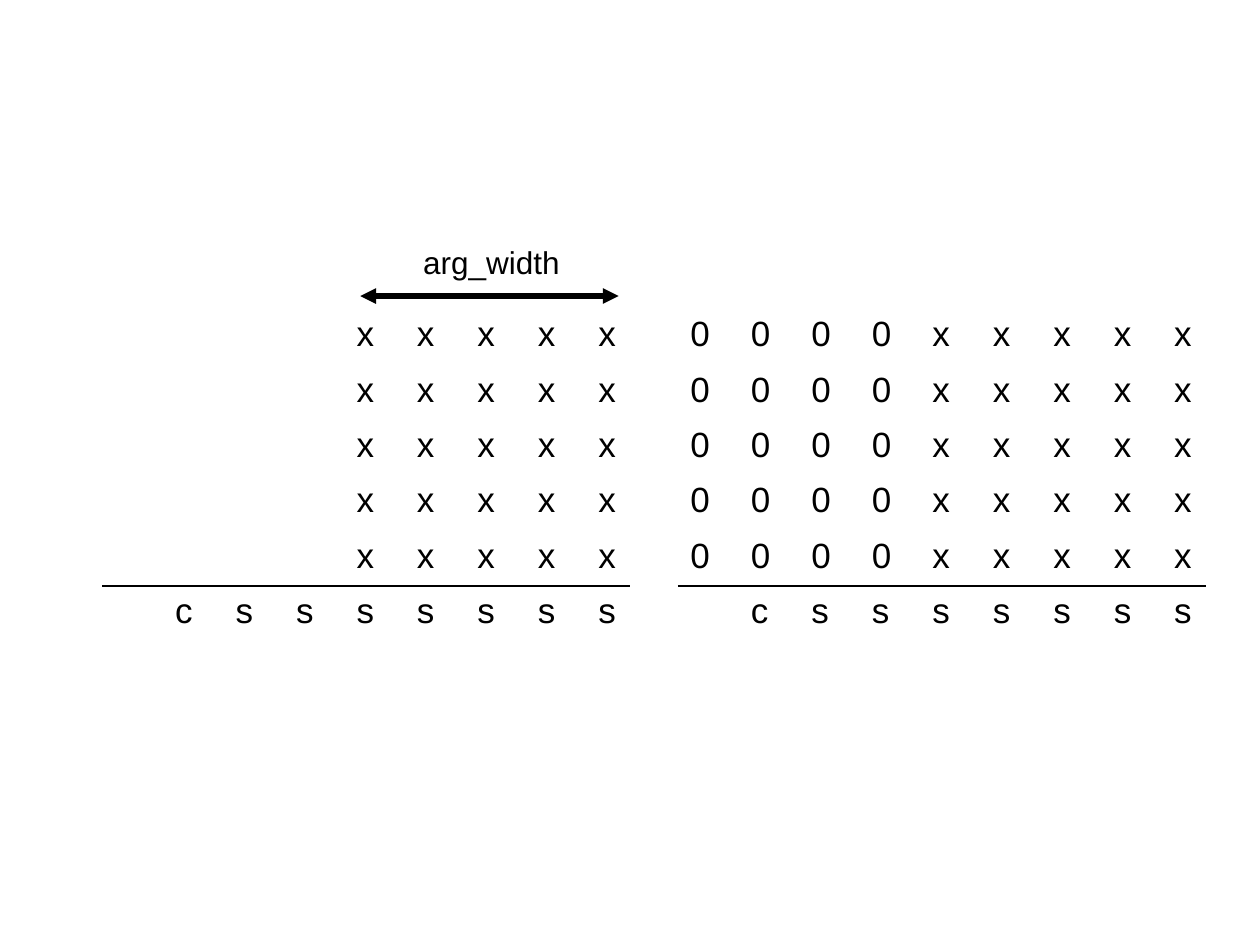
from dataclasses import dataclass

from lxml.etree import SubElement
from pptx import Presentation
from pptx.dml.color import RGBColor
from pptx.enum.shapes import MSO_CONNECTOR
from pptx.enum.text import MSO_AUTO_SIZE
from pptx.oxml import parse_xml
from pptx.oxml.ns import nsdecls, qn
from pptx.util import Inches, Pt


@dataclass(frozen=True)
class Theme:
    ink: str = "000000"
    font: str = "Arial"
    digit_size: int = 20
    label_size: int = 18
    rule_width: float = 1.08
    arrow_width: float = 3
    plain_table: str = "{2D5ABB26-0587-4C30-8999-92F81FD0307C}"


THEME = Theme()
ARGUMENT_ROWS = 5
DIGIT_WIDTHS = [0.48] * 8 + [0.35]
ROW_HEIGHT = 0.44
SUM_WIDTH = sum(DIGIT_WIDTHS)
SUM_HEIGHT = ROW_HEIGHT * (ARGUMENT_ROWS + 1)
SUM_TOP = 2.45
RESULT = " csssssss"


def write(paragraph, text, size):
    run = paragraph.add_run()
    run.text = text
    run.font.name = THEME.font
    run.font.size = Pt(size)
    run.font.color.rgb = RGBColor.from_string(THEME.ink)


def rule(cell, side):
    border = parse_xml(
        f'<a:{side} {nsdecls("a")} w="{Pt(THEME.rule_width)}"><a:solidFill>'
        f'<a:srgbClr val="{THEME.ink}"/></a:solidFill></a:{side}>'
    )
    cell._tc.get_or_add_tcPr().insert(0, border)


def add_sum(slide, left, top, width, height, argument):
    lines = [argument] * ARGUMENT_ROWS + [RESULT]
    digits = slide.shapes.add_table(
        len(lines), len(argument),
        Inches(left), Inches(top), Inches(width), Inches(height),
    ).table
    digits.first_row = digits.horz_banding = False
    digits._tbl.tblPr.find(qn("a:tableStyleId")).text = THEME.plain_table
    for column, share in zip(digits.columns, DIGIT_WIDTHS):
        column.width = Inches(width * share / SUM_WIDTH)
    for row_index, line in enumerate(lines):
        digits.rows[row_index].height = Inches(height / len(lines))
        for column_index, digit in enumerate(line):
            cell = digits.cell(row_index, column_index)
            cell.fill.background()
            if digit != " ":
                write(cell.text_frame.paragraphs[0], digit, THEME.digit_size)
            if row_index == ARGUMENT_ROWS - 1:
                rule(cell, "lnB")
            elif row_index == ARGUMENT_ROWS:
                rule(cell, "lnT")


def add_width_marker(slide, left, top, width, height):
    arrow_y = Inches(top + height)
    arrow = slide.shapes.add_connector(
        MSO_CONNECTOR.STRAIGHT,
        Inches(left), arrow_y, Inches(left + width), arrow_y,
    )
    arrow.line.color.rgb = RGBColor.from_string(THEME.ink)
    arrow.line.width = Pt(THEME.arrow_width)
    stroke = arrow.line._get_or_add_ln()
    for end in ("a:headEnd", "a:tailEnd"):
        SubElement(stroke, qn(end)).set("type", "triangle")
    SubElement(arrow._element.spPr, qn("a:effectLst"))

    label = slide.shapes.add_textbox(
        Inches(left + 0.4), Inches(top), Inches(1.32), Inches(0.4)
    ).text_frame
    label.word_wrap = False
    label.auto_size = MSO_AUTO_SIZE.NONE
    write(label.paragraphs[0], "arg_width", THEME.label_size)


def main():
    deck = Presentation()
    deck.slide_width, deck.slide_height = Inches(10), Inches(7.5)
    slide = deck.slides.add_slide(deck.slide_layouts[6])
    for left, argument in ((0.81, "    xxxxx"), (5.38, "0000xxxxx")):
        add_sum(slide, left, SUM_TOP, SUM_WIDTH, SUM_HEIGHT, argument)
    add_width_marker(slide, 2.86, 1.88, 2.05, 0.47)
    deck.save("out.pptx")


if __name__ == "__main__":
    main()
